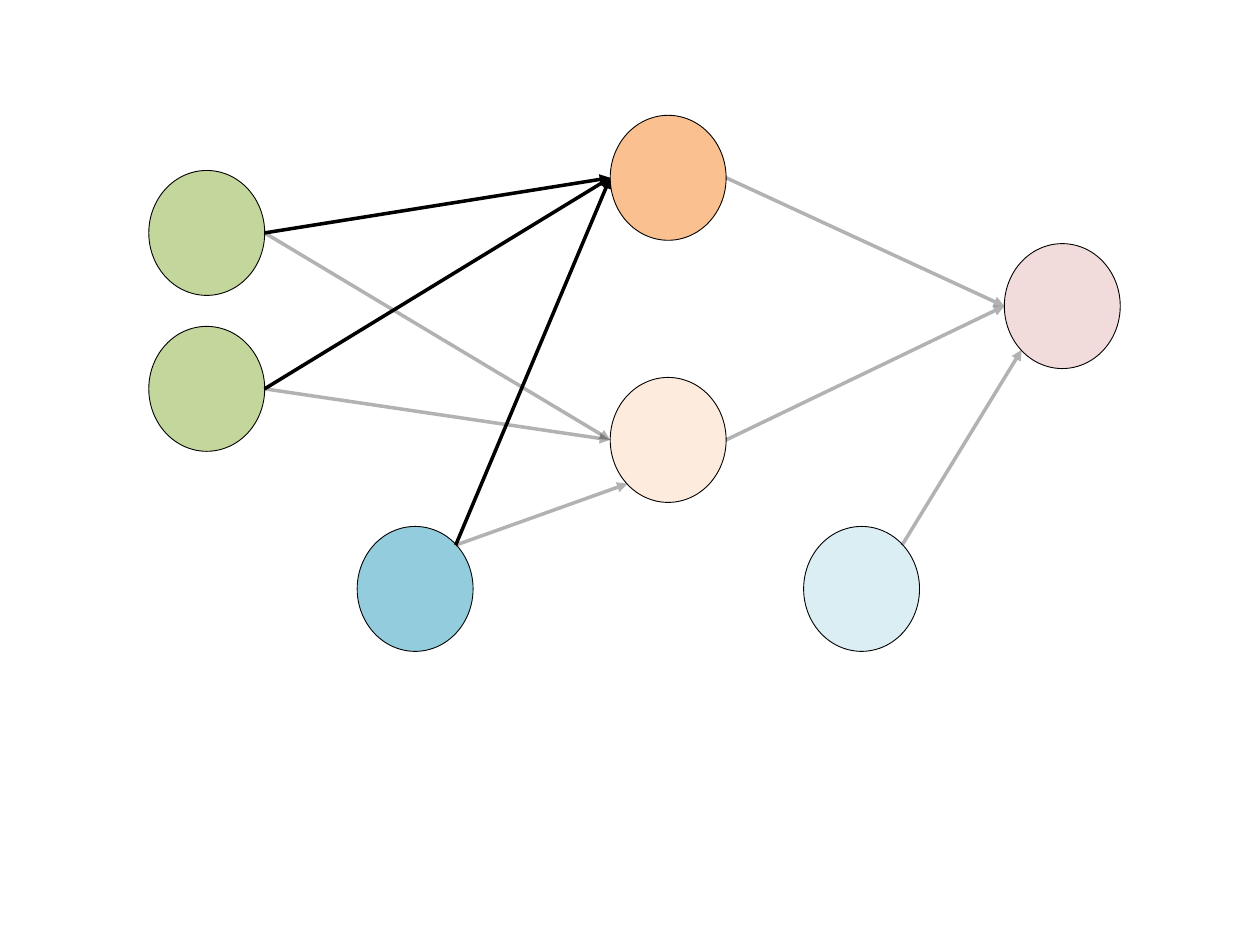
import pptx
import pptx.dml.color
import pptx.enum.shapes
import pptx.oxml.ns
import pptx.util
from lxml import etree

Pt = pptx.util.Pt
RGBColor = pptx.dml.color.RGBColor
qn = pptx.oxml.ns.qn

BLACK = RGBColor(0x00, 0x00, 0x00)
GREEN = RGBColor(0xC3, 0xD6, 0x9B)
ORANGE = RGBColor(0xFA, 0xC0, 0x90)
PINK = RGBColor(0xE6, 0xB9, 0xB8)
BLUE = RGBColor(0x93, 0xCD, 0xDD)
PALE_BLUE = RGBColor(0xB7, 0xDE, 0xE8)

NODE_W, NODE_H = 66.24, 71.4
SITES = {
    "left": (0, 0.5),
    "right": (1, 0.5),
    "top_right": (0.85, 0.15),
    "bottom_left": (0.15, 0.85),
}
NODES = {
    "input_1": (85, 97.4, GREEN, 100),
    "input_2": (85, 186.5, GREEN, 100),
    "hidden_1": (348.7, 65.9, ORANGE, 100),
    "output": (573.9, 139.2, PINK, 50),
    "hidden_2": (348.7, 215.7, ORANGE, 30),
    "bias_1": (204.1, 300.8, BLUE, 100),
    "bias_2": (459.2, 300.8, PALE_BLUE, 50),
}
ARROWS = [
    ("input_1", "right", "hidden_1", "left", 100),
    ("input_2", "right", "hidden_1", "left", 100),
    ("hidden_1", "right", "output", "left", 30),
    ("input_1", "right", "hidden_2", "left", 30),
    ("input_2", "right", "hidden_2", "left", 30),
    ("hidden_2", "right", "output", "left", 30),
    ("bias_1", "top_right", "hidden_1", "left", 100),
    ("bias_1", "top_right", "hidden_2", "bottom_left", 30),
    ("bias_2", "top_right", "output", "bottom_left", 30),
]


def set_opacity(parent, percent):
    if percent < 100:
        clr = parent.find(qn("a:solidFill")).find(qn("a:srgbClr"))
        etree.SubElement(clr, qn("a:alpha"), val=str(percent * 1000))


def site_point(node, site):
    x, y = NODES[node][:2]
    fx, fy = SITES[site]
    return Pt(x + fx * NODE_W), Pt(y + fy * NODE_H)


prs = pptx.Presentation()
prs.slide_width, prs.slide_height = Pt(720), Pt(540)
s = prs.slides.add_slide(prs.slide_layouts[6])

for x, y, color, opacity in NODES.values():
    sp = s.shapes.add_shape(
        pptx.enum.shapes.MSO_SHAPE.OVAL, Pt(x), Pt(y), Pt(NODE_W), Pt(NODE_H))
    sp.shadow.inherit = False
    sp.fill.solid()
    sp.fill.fore_color.rgb = color
    set_opacity(sp._element.spPr, opacity)
    sp.line.color.rgb = BLACK
    sp.line.width = Pt(0.5)

for start, start_site, end, end_site, opacity in ARROWS:
    cxn = s.shapes.add_connector(
        pptx.enum.shapes.MSO_CONNECTOR.STRAIGHT,
        *site_point(start, start_site), *site_point(end, end_site))
    cxn.line.color.rgb = BLACK
    cxn.line.width = Pt(2)
    ln = cxn.line._get_or_add_ln()
    set_opacity(ln, opacity)
    etree.SubElement(ln, qn("a:tailEnd"), type="triangle")
    etree.SubElement(cxn._element.spPr, qn("a:effectLst"))

prs.save("out.pptx")
